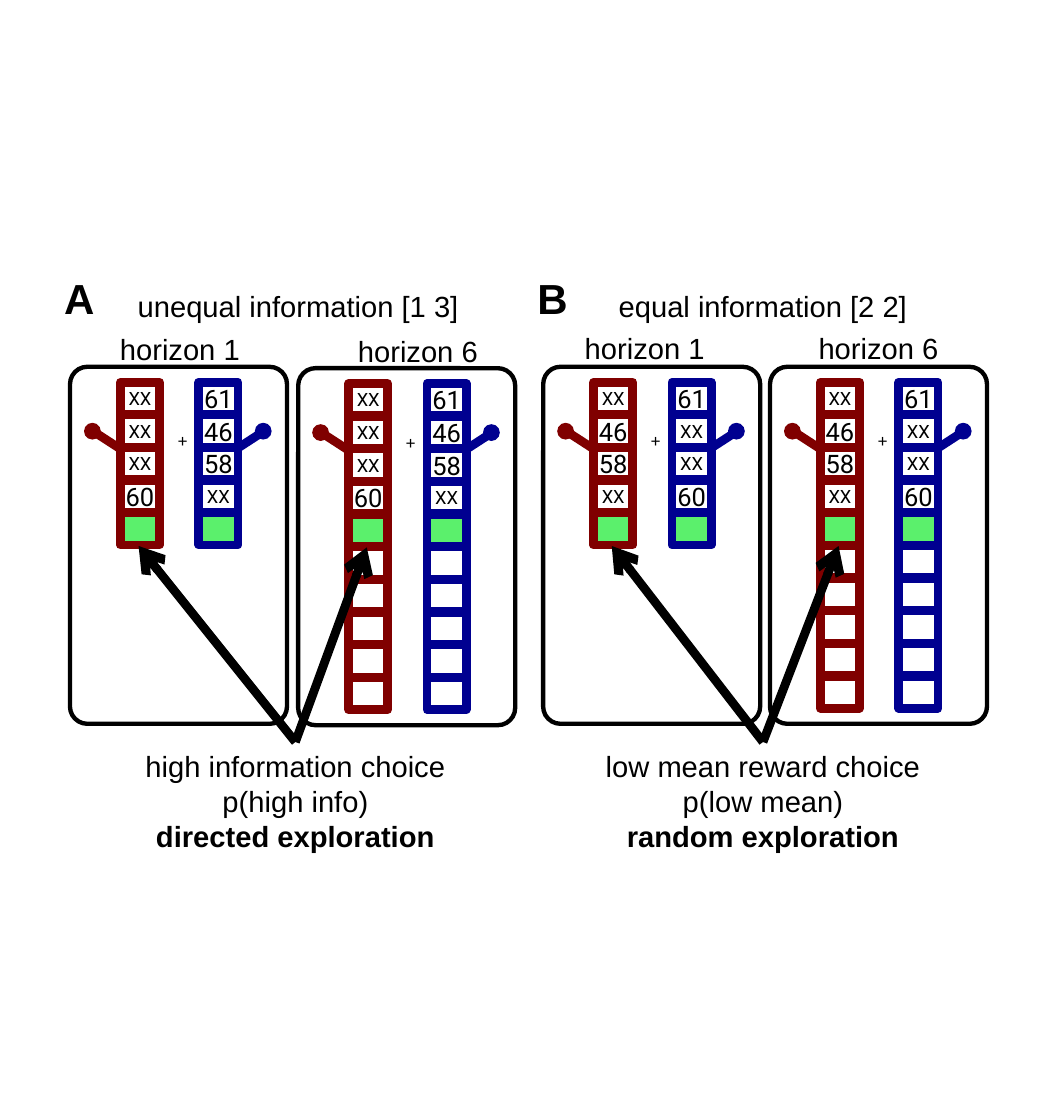
from lxml.etree import SubElement
from pptx import Presentation
from pptx.dml.color import RGBColor
from pptx.enum.shapes import MSO_CONNECTOR, MSO_SHAPE
from pptx.enum.text import MSO_ANCHOR, MSO_AUTO_SIZE, PP_ALIGN
from pptx.oxml.ns import qn
from pptx.util import Inches, Pt

HUES = {"ink": "000000", "red": "800000", "blue": "000090", "green": "5BF06C"}
STEP = 0.7 / 3


def color(name):
    """Return the named colour."""
    return RGBColor.from_string(HUES[name])


def write(frame, text, size=15, font="Arial", align=PP_ALIGN.CENTER, bold=(), wrap=True):
    """Fill a frame line by line; bold holds the numbers of the bold lines."""
    frame.word_wrap = wrap
    for num, line in enumerate(text.split("\n")):
        para = frame.paragraphs[0] if num == 0 else frame.add_paragraph()
        para.alignment = align
        run = para.add_run()
        run.text = line
        run.font.size = Pt(size)
        run.font.name = font
        run.font.bold = num in bold
        run.font.color.rgb = color("ink")


def label(shapes, text, left, top, width, height, **style):
    """Add a text box."""
    box = shapes.add_textbox(Inches(left), Inches(top), Inches(width), Inches(height))
    write(box.text_frame, text, **style)
    box.text_frame.auto_size = MSO_AUTO_SIZE.SHAPE_TO_FIT_TEXT


def block(shapes, kind, left, top, width, height, fill=None, line=None, weight=4.5):
    """Add a preset shape."""
    item = shapes.add_shape(kind, Inches(left), Inches(top), Inches(width), Inches(height))
    item.shadow.inherit = False
    if fill:
        item.fill.solid()
        item.fill.fore_color.rgb = color(fill)
    else:
        item.fill.background()
    if line:
        item.line.color.rgb = color(line)
        item.line.width = Pt(weight)
    else:
        item.line.fill.background()
    return item


def stroke(shapes, start, end, hue, arrow=False):
    """Add a thick straight line, with an arrowhead if asked."""
    ends = [Inches(val) for val in (*start, *end)]
    line = shapes.add_connector(MSO_CONNECTOR.STRAIGHT, *ends)
    line.line.color.rgb = color(hue)
    line.line.width = Pt(4.5)
    if arrow:
        SubElement(line.line._get_or_add_ln(), qn("a:tailEnd"), type="arrow")
    SubElement(line._element.spPr, qn("a:effectLst"))


def reel(shapes, left, top, hue, marks, count):
    """Stack the cells of one bandit, the green one after the marks."""
    for num in range(count):
        fill = "green" if num == len(marks) else None
        cell = block(shapes, MSO_SHAPE.RECTANGLE, left, top + num * STEP,
                     0.28, 0.23, fill, hue)
        if num < len(marks):
            size = 9.4 if marks[num] == "XX" else 13.1
            write(cell.text_frame, marks[num], size=size, font="Roboto", wrap=False)
            cell.text_frame.vertical_anchor = MSO_ANCHOR.MIDDLE


def lever(shapes, base, tip, dot, top, hue):
    """Draw an arm and its knob."""
    stroke(shapes, (base, top + 0.58), (tip, top + 0.47), hue)
    block(shapes, MSO_SHAPE.OVAL, dot, top + 0.4, 0.12, 0.12, hue)


def game(slide, left, top, reds, blues, count):
    """Group the frame, arms and cells of one game."""
    shapes = slide.shapes.add_group_shape().shapes
    label(shapes, "+", left + 0.68, top + 0.4, 0.19, 0.26, size=9.4, font="Calibri")
    frame = block(shapes, MSO_SHAPE.ROUNDED_RECTANGLE, left, top, 1.55, 2.55,
                  line="ink", weight=2.25)
    frame.adjustments[0] = 0.08
    lever(shapes, left + 0.35, left + 0.18, left + 0.1, top, "red")
    lever(shapes, left + 1.2, left + 1.37, left + 1.32, top, "blue")
    reel(shapes, left + 0.36, top + 0.11, "red", reds, count)
    reel(shapes, left + 0.92, top + 0.11, "blue", blues, count)


def panel(slide, name, title, note, reds, blues, games, spot, mid):
    """Draw two games with their headings, note and arrows."""
    for (left, top, head, high), (text, count) in zip(
            games, (("horizon 1", 5), ("horizon 6", 10))):
        game(slide, left, top, reds.split(), blues.split(), count)
        label(slide.shapes, text, head, high, 1.55, 0.35)
    label(slide.shapes, title, spot, 2.01, 3.24, 0.35)
    label(slide.shapes, note, mid - 1.62, 5.3, 3.24, 0.86, bold=(2,))
    label(slide.shapes, name, games[0][0] - 0.14, 1.9, 0.65, 0.46,
          size=21.6, align=PP_ALIGN.LEFT, bold=(0,))
    for left, top, *_ in games:
        stroke(slide.shapes, (mid, 5.3), (left + 0.49, top + 1.28), "ink", arrow=True)


def main():
    """Build the slide and save it."""
    deck = Presentation()
    deck.slide_width, deck.slide_height = Inches(7.5), Inches(8)
    slide = deck.slides.add_slide(deck.slide_layouts[6])
    panel(slide, "A", "unequal information [1 3]",
          "high information choice\np(high info)\ndirected exploration",
          "XX XX XX 60", "61 46 58 XX",
          ((0.5, 2.62, 0.51, 2.32), (2.13, 2.63, 2.21, 2.33)), 0.51, 2.11)
    panel(slide, "B", "equal information [2 2]",
          "low mean reward choice\np(low mean)\nrandom exploration",
          "XX 46 58 XX", "61 XX XX 60",
          ((3.88, 2.62, 3.83, 2.31), (5.5, 2.62, 5.5, 2.31)), 3.83, 5.45)
    deck.save("out.pptx")


main()
